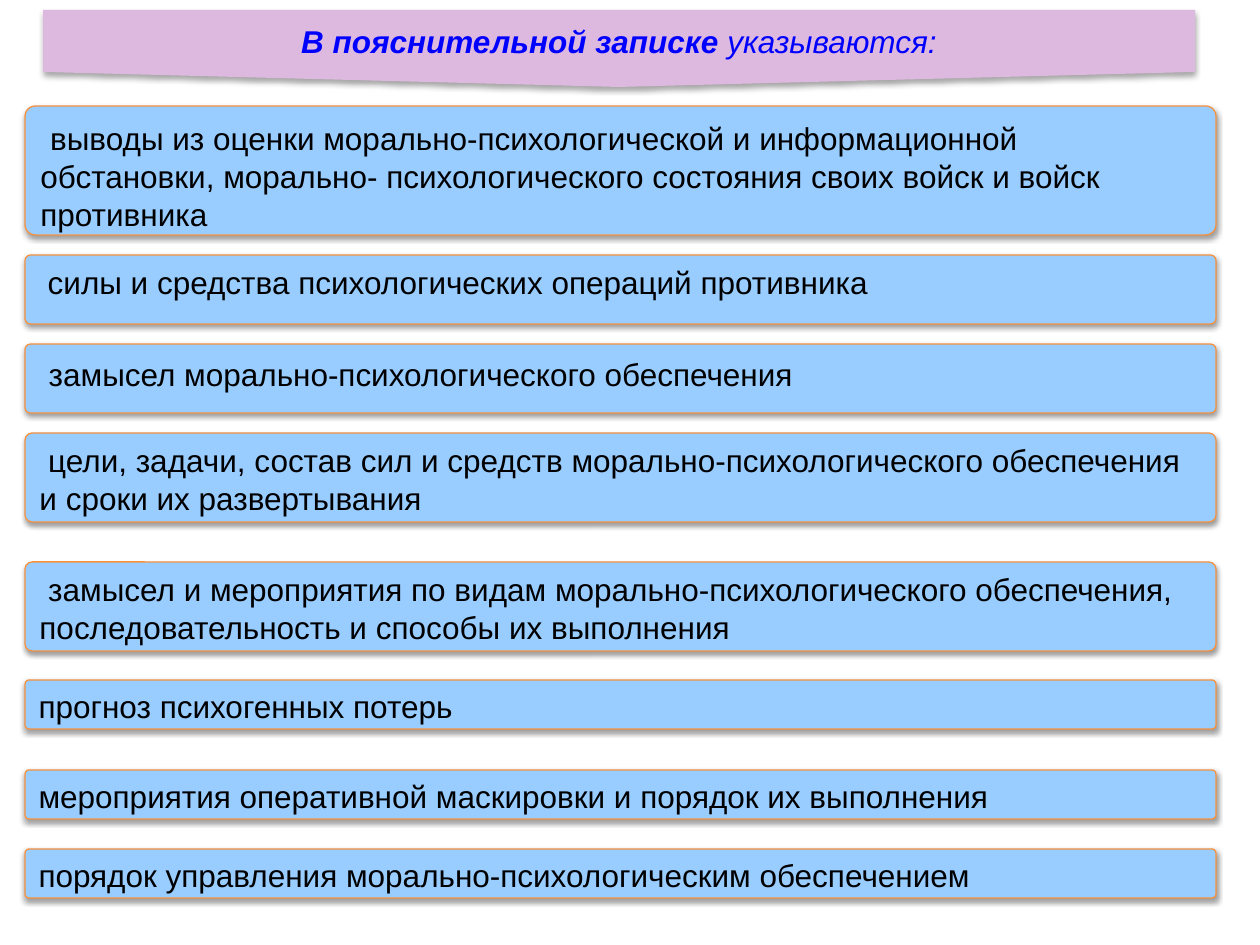
import pptx
import pptx.util
import pptx.dml.color
import pptx.enum.shapes
import pptx.enum.text
import pptx.oxml
import pptx.oxml.ns

PX = pptx.util.Inches(1) / 126
SHAPE = pptx.enum.shapes.MSO_SHAPE
ANCHOR = pptx.enum.text.MSO_ANCHOR
ALIGN = pptx.enum.text.PP_ALIGN

FONT = "Arial"
BLACK = pptx.dml.color.RGBColor(0x00, 0x00, 0x00)
BLUE = pptx.dml.color.RGBColor(0x00, 0x00, 0xFF)
LILAC = pptx.dml.color.RGBColor(0xDE, 0xB9, 0xDF)
SKY = pptx.dml.color.RGBColor(0x99, 0xCC, 0xFF)
ORANGE = pptx.dml.color.RGBColor(0xF6, 0x92, 0x40)

BOX_LEFT, BOX_WIDTH = 25, 1191

# Each item: top, height, runs of (text, size in points)
ITEMS = [
    (106, 129, [(" ", 20), ("выводы из оценки морально-психологической и информационной "
                            "обстановки, морально- психологического состояния своих войск "
                            "и войск противника", 18)]),
    (255, 69, [(" силы и средства психологических операций противника", 18)]),
    (344, 69, [(" ", 20), ("замысел морально-психологического обеспечения", 18)]),
    (433, 89, [(" цели, задачи, состав сил и средств морально-психологического "
                "обеспечения и сроки их развертывания", 18)]),
    (562, 89, [(" замысел и мероприятия по видам морально-психологического "
                "обеспечения, последовательность и способы их выполнения", 18)]),
    (680, 49, [("прогноз психогенных потерь", 18)]),
    (770, 49, [("мероприятия оперативной маскировки и порядок их выполнения", 18)]),
    (849, 49, [("порядок управления морально-психологическим обеспечением", 18)]),
]


def px(length):
    return pptx.util.Emu(round(length * PX))


def add_run(paragraph, text, size, color, bold=False, italic=False):
    run = paragraph.add_run()
    run.text = text
    run.font.name = FONT
    run.font.size = pptx.util.Pt(size)
    run.font.bold = bold
    run.font.italic = italic
    run.font.color.rgb = color


def add_shadow(shape, distance, opacity):
    """Soft black shadow falling straight down; distance in points."""
    shape.shadow.inherit = False
    effects = shape._element.spPr.find(pptx.oxml.ns.qn("a:effectLst"))
    effects.append(pptx.oxml.parse_xml(
        f'<a:outerShdw {pptx.oxml.ns.nsdecls("a")} blurRad="{pptx.util.Pt(3.1)}" '
        f'dist="{pptx.util.Pt(distance)}" dir="5400000" rotWithShape="0">'
        f'<a:srgbClr val="000000"><a:alpha val="{opacity * 1000}"/></a:srgbClr>'
        '</a:outerShdw>'))


def add_filled_shape(slide, kind, left, top, width, height, fill):
    shape = slide.shapes.add_shape(kind, px(left), px(top), px(width), px(height))
    shape.fill.solid()
    shape.fill.fore_color.rgb = fill
    return shape


def add_banner(slide):
    left, top, width, height, tip = 43, 10, 1152, 77, 15
    arrow = add_filled_shape(slide, SHAPE.DOWN_ARROW, left, top, width, height, LILAC)
    arrow.adjustments[0] = 1
    arrow.adjustments[1] = tip / height
    arrow.line.fill.background()
    add_shadow(arrow, 1.8, 35)

    # The heading sits in the part of the arrow above its tip
    heading = slide.shapes.title
    heading.left, heading.top = px(left), px(top)
    heading.width, heading.height = px(width), px(height - tip)
    slide.shapes._spTree.append(heading._element)
    frame = heading.text_frame
    frame.word_wrap = True
    frame.auto_size = pptx.enum.text.MSO_AUTO_SIZE.NONE
    frame.vertical_anchor = ANCHOR.MIDDLE
    paragraph = frame.paragraphs[0]
    paragraph.alignment = ALIGN.CENTER
    add_run(paragraph, "В пояснительной записке", 18, BLUE, bold=True, italic=True)
    add_run(paragraph, " указываются:", 18, BLUE, italic=True)


def add_item(slide, top, height, runs):
    box = add_filled_shape(slide, SHAPE.ROUNDED_RECTANGLE,
                           BOX_LEFT, top, BOX_WIDTH, height, SKY)
    box.adjustments[0] = 0.08
    box.line.color.rgb = ORANGE
    box.line.width = pptx.util.Pt(0.75)
    add_shadow(box, 1.6, 38)
    frame = box.text_frame
    frame.word_wrap = True
    frame.vertical_anchor = ANCHOR.TOP
    paragraph = frame.paragraphs[0]
    paragraph.alignment = ALIGN.LEFT
    for text, size in runs:
        add_run(paragraph, text, size, BLACK)


def main():
    deck = pptx.Presentation()
    deck.slide_width, deck.slide_height = px(1260), px(945)
    slide = deck.slides.add_slide(deck.slide_layouts.get_by_name("Title Only"))
    add_banner(slide)
    for top, height, runs in ITEMS:
        add_item(slide, top, height, runs)
    deck.save("out.pptx")


if __name__ == "__main__":
    main()
